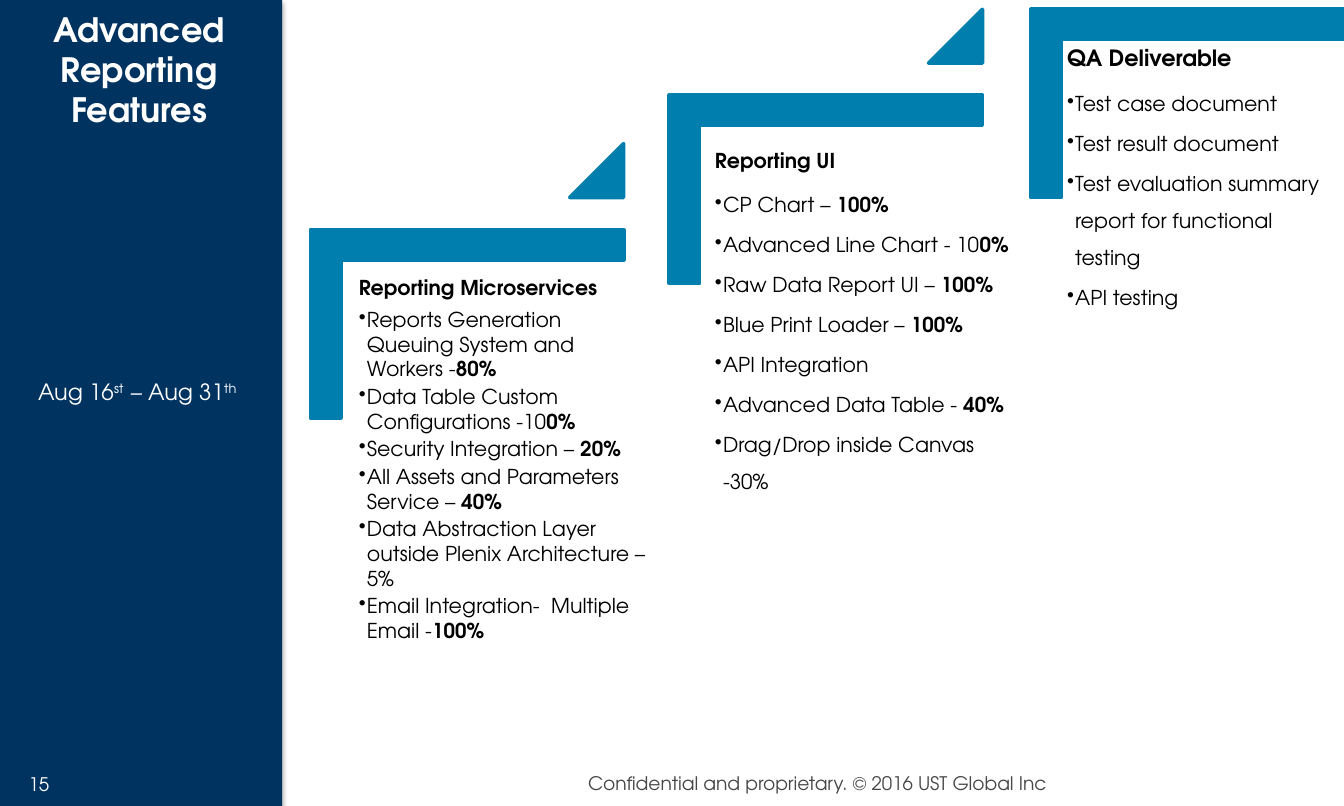
from lxml.etree import SubElement
from pptx import Presentation
from pptx.dml.color import RGBColor
from pptx.enum.shapes import MSO_SHAPE as Shape
from pptx.enum.text import MSO_ANCHOR as Anchor, PP_ALIGN as Align
from pptx.oxml import parse_xml
from pptx.oxml.ns import nsdecls, qn
from pptx.util import Inches, Pt

FONT = "TeX Gyre Adventor"
NAVY, TEAL, WHITE, BLACK, GREY = "013360", "007EAE", "FFFFFF", "000000", "464646"
WIDTH, HEIGHT = 10, 6
PANEL_WIDTH = 0.21 * WIDTH
STEP_WIDTH, STEP_HEIGHT = 2.33, 1.4
ARROW_SIZE, ARROW_RISE = 0.4, 0.64
BULLET_INDENT = 0.06

# Each step: bracket left and top, text offset and size, heading (size, spacing),
# item spacing, and items as (plain, bold) pairs
STEPS = [
    dict(at=(2.31, 1.71), text=(0.31, 0.29, 2.3, 1.84), heading="Reporting Microservices",
         heading_size=11, heading_spacing=1.0, spacing=1.0, arrow=True, items=[
             ("Reports Generation Queuing System and Workers -", "80%"),
             ("Data Table Custom Configurations -10", "0%"),
             ("Security Integration – ", "20%"),
             ("All Assets and Parameters Service – ", "40%"),
             ("Data Abstraction Layer outside Plenix Architecture – 5%", ""),
             ("Email Integration-  Multiple Email -", "100%")]),
    dict(at=(4.98, 0.71), text=(0.29, 0.25, 2.37, 2.58), heading="Reporting UI",
         heading_size=11, heading_spacing=1.5, spacing=1.5, arrow=True, items=[
             ("CP Chart – ", "100%"),
             ("Advanced Line Chart - 10", "0%"),
             ("Raw Data Report UI – ", "100%"),
             ("Blue Print Loader – ", "100%"),
             ("API Integration", ""),
             ("Advanced Data Table - ", "40%"),
             ("Drag/Drop inside Canvas -30%", "")]),
    dict(at=(7.67, 0.07), text=(0.22, 0.23, 2.1, 1.84), heading="QA Deliverable",
         heading_size=12, heading_spacing=0.9, spacing=1.5, arrow=False, items=[
             ("Test case document", ""),
             ("Test result document", ""),
             ("Test evaluation summary report for functional testing", ""),
             ("API testing", "")]),
]


def rgb(value):
    return RGBColor.from_string(value)


def add_block(slide, kind, box, color, outline=None):
    block = slide.shapes.add_shape(kind, *map(Inches, box))
    block.shadow.inherit = False
    block.fill.solid()
    block.fill.fore_color.rgb = rgb(color)
    if outline:
        block.line.color.rgb = rgb(color)
        block.line.width = Pt(outline)
    else:
        block.line.fill.background()
    return block


def add_bracket(slide, left, top):
    """Corner preset, turned so that its arms run along the top and the left."""
    turn = (STEP_WIDTH - STEP_HEIGHT) / 2
    box = (left + turn, top - turn, STEP_HEIGHT, STEP_WIDTH)
    bracket = add_block(slide, Shape.RECTANGLE, box, TEAL, outline=2)
    bracket.rotation = 90
    geometry = bracket._element.spPr.find(qn("a:prstGeom"))
    geometry.set("prst", "corner")
    guides = geometry.find(qn("a:avLst"))
    for arm in ("adj1", "adj2"):
        guide = SubElement(guides, qn("a:gd"))
        guide.set("name", arm)
        guide.set("fmla", "val 16100")


def add_text_frame(slide, box, inset=None, anchor=Anchor.TOP, wrap=True):
    frame = slide.shapes.add_textbox(*map(Inches, box)).text_frame
    frame.word_wrap = wrap
    frame.vertical_anchor = anchor
    if inset is not None:
        frame.margin_left = frame.margin_right = Inches(inset)
        frame.margin_top = frame.margin_bottom = Inches(inset)
    return frame


def style(paragraph, size, color, bold=None):
    font = paragraph.font
    font.name, font.size, font.bold = FONT, Pt(size), bold
    font.color.rgb = rgb(color)


def add_label(slide, box, text, size, color, bold=None, **frame_options):
    paragraph = add_text_frame(slide, box, **frame_options).paragraphs[0]
    paragraph.alignment = Align.CENTER
    paragraph.add_run().text = text
    style(paragraph, size, color, bold)


def add_bullet(paragraph):
    properties = paragraph._p.get_or_add_pPr()
    properties.set("marL", str(Inches(BULLET_INDENT)))
    properties.set("indent", str(-Inches(BULLET_INDENT)))
    SubElement(properties, qn("a:buChar")).set("char", "•")


def draw_panel(slide, left, top, width, height):
    """Side panel with the title, the period and the slide number."""
    panel = add_block(slide, Shape.RECTANGLE, (left, top, width, height), NAVY)
    panel._element.spPr.find(qn("a:effectLst")).append(parse_xml(
        f'<a:outerShdw {nsdecls("a")} blurRad="{Pt(3.1)}" dist="{Pt(1.8)}" dir="5400000">'
        '<a:srgbClr val="000000"><a:alpha val="35000"/></a:srgbClr></a:outerShdw>'))
    text_width = width - 0.03
    add_label(slide, (left + 0.1, top + 0.96 * height, 0.38, 0.16), "15", 10, WHITE,
              inset=0, anchor=Anchor.MIDDLE)
    add_label(slide, (left, top, text_width, 1.03), "Advanced Reporting Features",
              18, WHITE, bold=True, anchor=Anchor.MIDDLE)

    period_box = (left, top + 1.82, text_width, 2.19)
    period = add_text_frame(slide, period_box, anchor=Anchor.MIDDLE).paragraphs[0]
    period.alignment = Align.CENTER
    for text, raised in (("Aug 16", False), ("st  ", True), ("– Aug 31", False), ("th ", True)):
        run = period.add_run()
        run.text = text
        if raised:
            run._r.get_or_add_rPr().set("baseline", "30000")
    style(period, 12, WHITE)


def draw_step(slide, step):
    """Bracket, heading with bullets, and the triangle leading up to the next step."""
    left, top = step["at"]
    add_bracket(slide, left, top)

    dx, dy, width, height = step["text"]
    frame = add_text_frame(slide, (left + dx, top + dy, width, height), inset=0.05)
    heading = frame.paragraphs[0]
    heading.add_run().text = step["heading"]
    heading.line_spacing = step["heading_spacing"]
    heading.space_after = Pt(0.35 * step["heading_size"])
    style(heading, step["heading_size"], BLACK, bold=True)
    for plain, strong in step["items"]:
        item = frame.add_paragraph()
        item.line_spacing = step["spacing"]
        item.space_after = Pt(0.15 * 11)
        add_bullet(item)
        item.add_run().text = plain
        if strong:
            share = item.add_run()
            share.text = strong
            share.font.bold = True
        style(item, 11, BLACK)

    if step["arrow"]:
        arrow_box = (left + STEP_WIDTH - ARROW_SIZE, top - ARROW_RISE, ARROW_SIZE, ARROW_SIZE)
        arrow = add_block(slide, Shape.ISOSCELES_TRIANGLE, arrow_box, TEAL, outline=2)
        arrow.adjustments[0] = 1


def main():
    deck = Presentation()
    deck.slide_width, deck.slide_height = Inches(WIDTH), Inches(HEIGHT)
    slide = deck.slides.add_slide(deck.slide_layouts[6])
    draw_panel(slide, 0, 0, PANEL_WIDTH, HEIGHT)
    add_label(slide, (4.24, 0.95 * HEIGHT, 3.68, 0.27),
              "Confidential and proprietary. © 2016 UST Global Inc", 10, GREY, wrap=False)
    for step in STEPS:
        draw_step(slide, step)
    deck.save("out.pptx")


if __name__ == "__main__":
    main()
